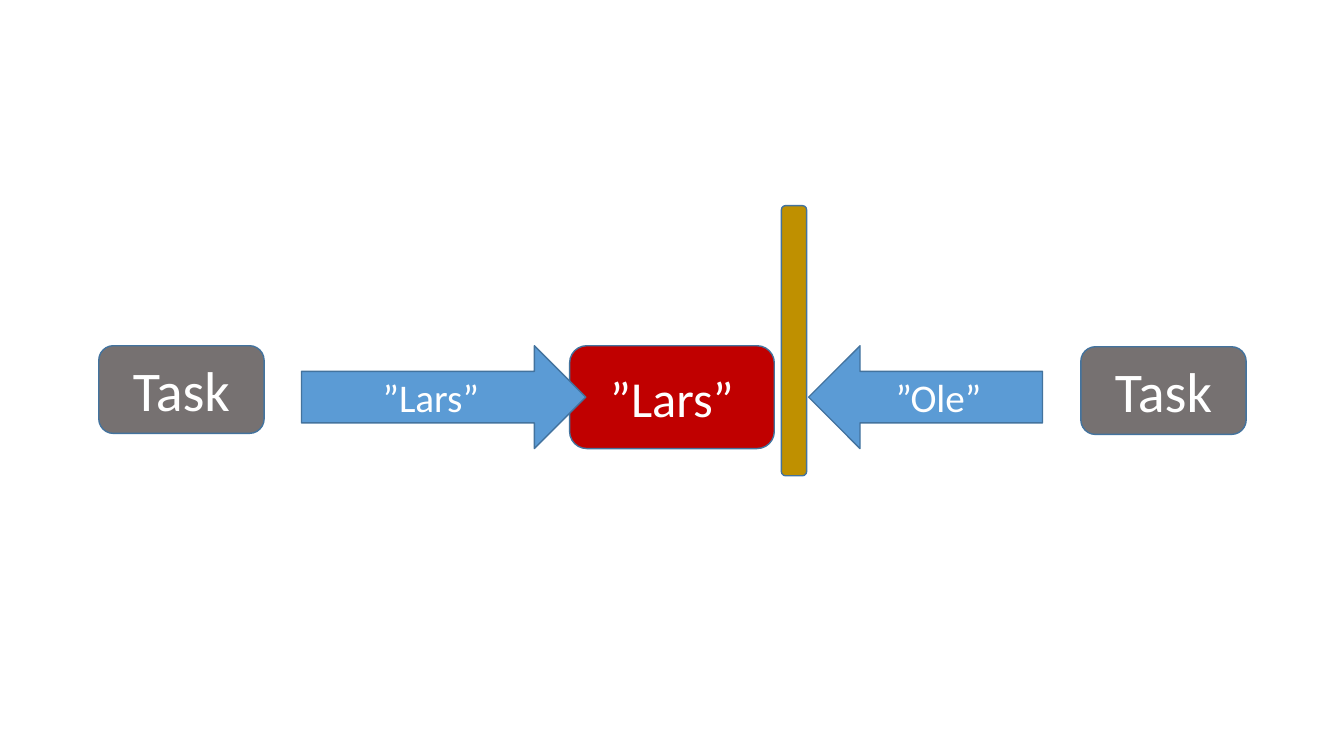
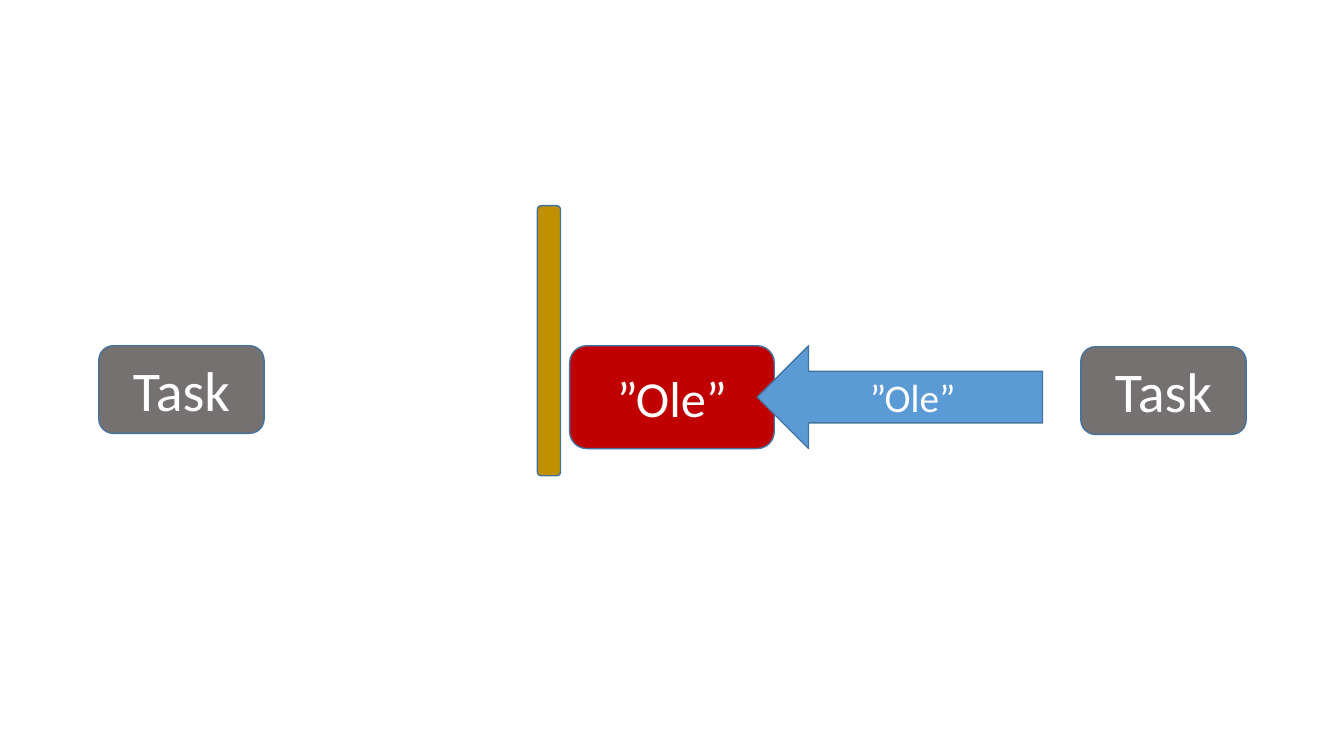
"""Build two slides of tasks writing to a guarded shared value."""
from pptx import Presentation
from pptx.dml.color import RGBColor
from pptx.enum.shapes import MSO_SHAPE
from pptx.enum.text import MSO_ANCHOR, PP_ALIGN
from pptx.util import Inches, Pt

ROUNDED = MSO_SHAPE.ROUNDED_RECTANGLE
RIGHT_ARROW = MSO_SHAPE.RIGHT_ARROW
LEFT_ARROW = MSO_SHAPE.LEFT_ARROW
MIDDLE = MSO_ANCHOR.MIDDLE
CENTER = PP_ALIGN.CENTER

GRAY = RGBColor(0x76, 0x71, 0x71)
BLUE = RGBColor(0x5B, 0x9B, 0xD5)
GOLD = RGBColor(0xBF, 0x90, 0x00)
RED = RGBColor(0xC0, 0x00, 0x00)
OUTLINE = RGBColor(0x43, 0x73, 0x9E)
WHITE = RGBColor(0xFF, 0xFF, 0xFF)

FONT = "Calibri"
ROW_TOP = 3.43
ROW_HEIGHT = 1.02
ARROW_END = 10.34


def add_block(slide, kind, left, top, width, height, fill, text="", size=28):
    sp = slide.shapes.add_shape(
        kind, Inches(left), Inches(top), Inches(width), Inches(height))
    sp.shadow.inherit = False
    sp.fill.solid()
    sp.fill.fore_color.rgb = fill
    sp.line.color.rgb = OUTLINE
    sp.line.width = Pt(1)
    if text:
        tf = sp.text_frame
        tf.text = text
        tf.vertical_anchor = MIDDLE
        p = tf.paragraphs[0]
        p.alignment = CENTER
        font = p.runs[0].font
        font.name = FONT
        font.size = Pt(size)
        font.color.rgb = WHITE


def add_tasks(slide):
    for left, top in ((0.98, ROW_TOP), (10.72, ROW_TOP + 0.01)):
        add_block(slide, ROUNDED, left, top, 1.64, 0.87, GRAY, "Task", 40)


def add_barrier(slide, left, width):
    add_block(slide, ROUNDED, left, 2.04, width, 2.68, GOLD)


def add_value(slide, text):
    add_block(slide, ROUNDED, 5.65, ROW_TOP, 2.03, ROW_HEIGHT, RED, text, 36)


def add_write_from_left(slide, text):
    add_block(slide, RIGHT_ARROW, 2.99, ROW_TOP, 2.82, ROW_HEIGHT, BLUE, text)


def add_write_from_right(slide, left, text):
    add_block(slide, LEFT_ARROW, left, ROW_TOP, ARROW_END - left, ROW_HEIGHT,
              BLUE, text)


def build_right_blocked(slide):
    add_tasks(slide)
    add_write_from_right(slide, 8.02, "”Ole”")
    add_barrier(slide, 7.75, 0.25)
    add_value(slide, "”Lars”")
    add_write_from_left(slide, "”Lars”")


def build_left_blocked(slide):
    add_tasks(slide)
    add_barrier(slide, 5.33, 0.23)
    add_value(slide, "”Ole”")
    add_write_from_right(slide, 7.51, "”Ole”")


def main():
    prs = Presentation()
    prs.slide_width = Inches(13.33)
    prs.slide_height = Inches(7.5)
    blank = prs.slide_layouts[6]
    for build in (build_right_blocked, build_left_blocked):
        build(prs.slides.add_slide(blank))
    prs.save("out.pptx")


if __name__ == "__main__":
    main()
